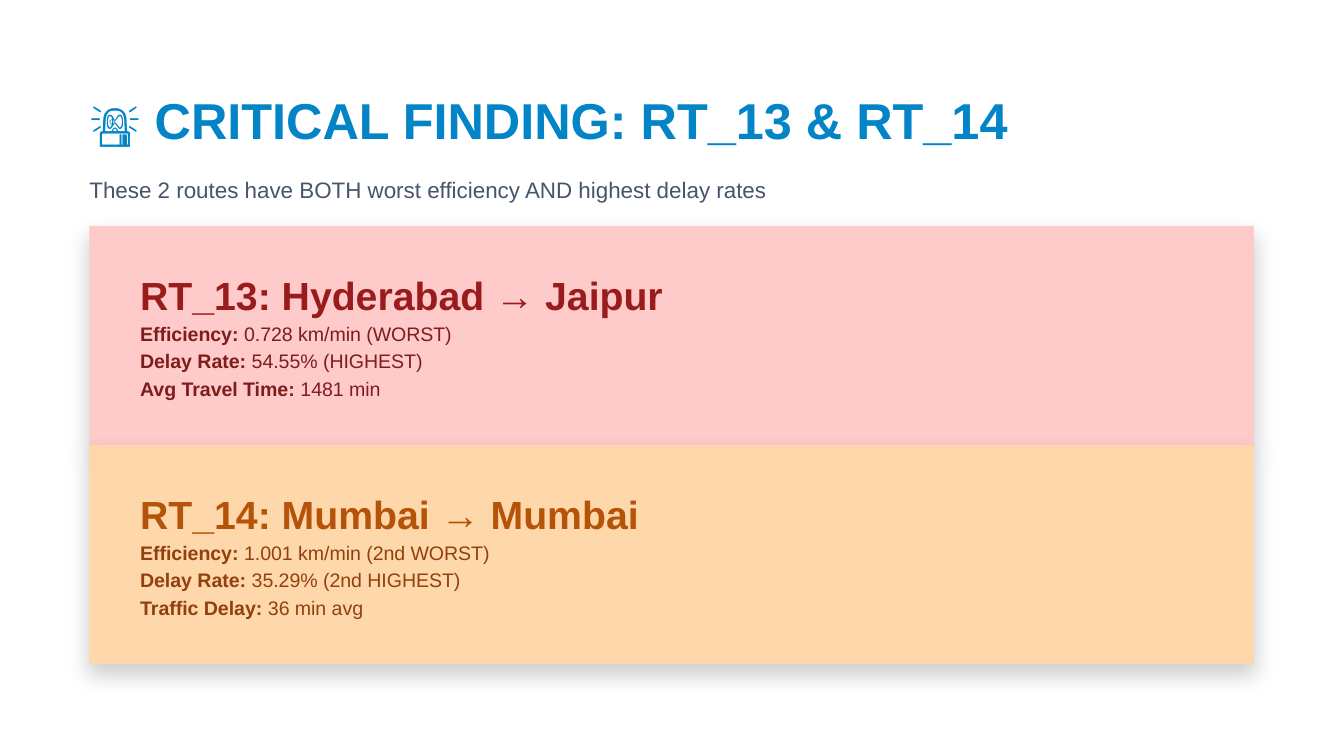
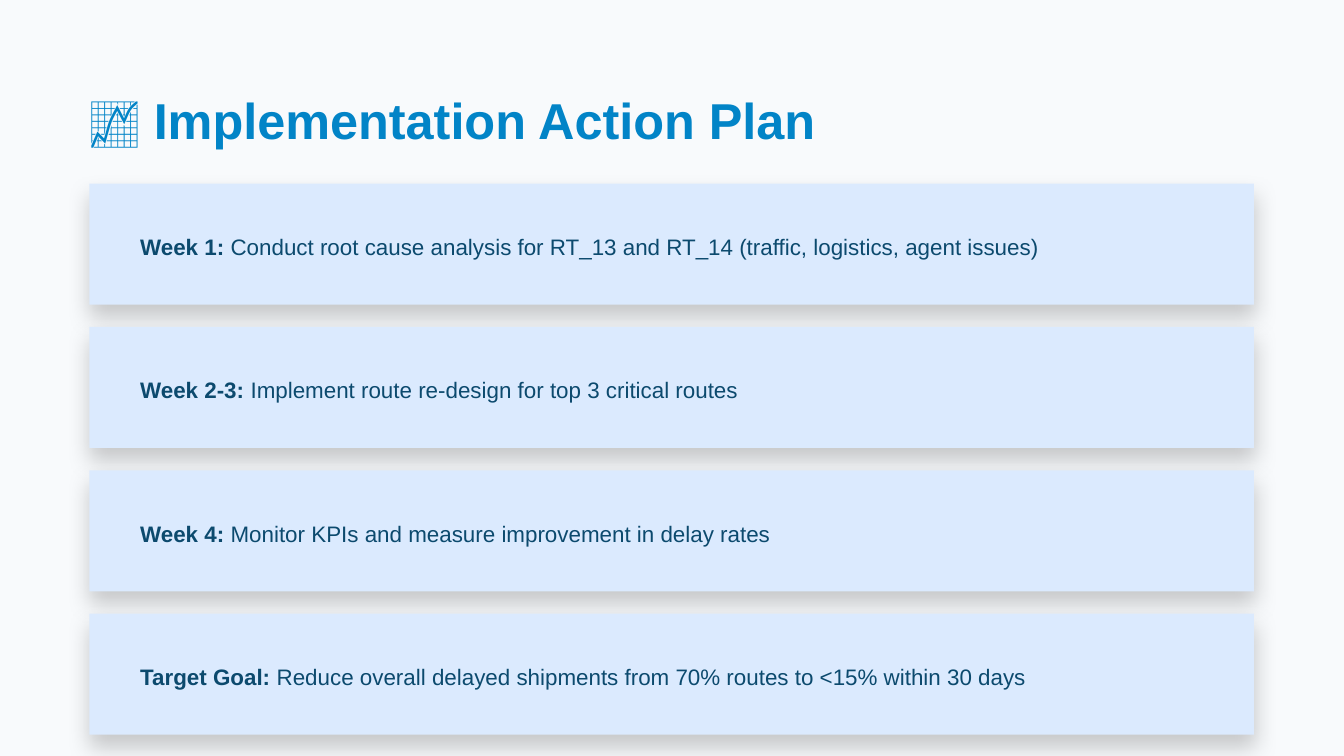
from dataclasses import dataclass

from lxml import etree
from pptx import Presentation
from pptx import util as u
from pptx.dml.color import RGBColor
from pptx.enum import shapes, text
from pptx.oxml import ns

FONT = "Arial"
WHITE = RGBColor(0xFF, 0xFF, 0xFF)
MIST = RGBColor(0xF8, 0xFA, 0xFC)
SKY = RGBColor(0x02, 0x84, 0xC7)
SLATE = RGBColor(0x47, 0x55, 0x69)
ROSE = RGBColor(0xFE, 0xCA, 0xCA)
RED = RGBColor(0x99, 0x1B, 0x1B)
DARK_RED = RGBColor(0x7F, 0x1D, 0x1D)
PEACH = RGBColor(0xFE, 0xD7, 0xAA)
AMBER = RGBColor(0xB4, 0x53, 0x09)
DARK_AMBER = RGBColor(0x92, 0x40, 0x0E)
ICE = RGBColor(0xDB, 0xEA, 0xFE)
NAVY = RGBColor(0x0C, 0x4A, 0x6E)

MARGIN = 1.69
CARD_W = 22.01
HEADER_W = 22.45
TEXT_X = 2.65
TEXT_W = 20.62
PAD_Y = 0.85


@dataclass(frozen=True)
class Style:
    size: float
    leading: float
    color: RGBColor
    bold: bool = False


@dataclass(frozen=True)
class Fact:
    label: str
    value: str


@dataclass(frozen=True)
class Route:
    name: str
    fill: RGBColor
    name_color: RGBColor
    fact_color: RGBColor
    facts: tuple[Fact, ...]


TITLE = Style(27, 32.4, SKY, True)
SUBTITLE = Style(12, 16.8, SLATE)
STEP = Style(12, 16.8, NAVY)

ROUTES = (
    Route("RT_13: Hyderabad → Jaipur", ROSE, RED, DARK_RED, (
        Fact("Efficiency:", "0.728 km/min (WORST)"),
        Fact("Delay Rate:", "54.55% (HIGHEST)"),
        Fact("Avg Travel Time:", "1481 min"),
    )),
    Route("RT_14: Mumbai → Mumbai", PEACH, AMBER, DARK_AMBER, (
        Fact("Efficiency:", "1.001 km/min (2nd WORST)"),
        Fact("Delay Rate:", "35.29% (2nd HIGHEST)"),
        Fact("Traffic Delay:", "36 min avg"),
    )),
)

STEPS = (
    Fact("Week 1:", "Conduct root cause analysis for RT_13 and RT_14 (traffic, logistics, agent issues)"),
    Fact("Week 2-3:", "Implement route re-design for top 3 critical routes"),
    Fact("Week 4:", "Monitor KPIs and measure improvement in delay rates"),
    Fact("Target Goal:", "Reduce overall delayed shipments from 70% routes to <15% within 30 days"),
)


def place(sp, x: float, y: float, w: float, h: float) -> None:
    sp.left, sp.top, sp.width, sp.height = (u.Cm(v) for v in (x, y, w, h))


def write(sp, content: str | Fact, style: Style) -> None:
    tf = sp.text_frame
    tf.margin_left = tf.margin_top = tf.margin_right = tf.margin_bottom = 0
    tf.word_wrap = True
    tf.auto_size = text.MSO_AUTO_SIZE.NONE
    tf.vertical_anchor = text.MSO_ANCHOR.TOP
    p = tf.paragraphs[0]
    p.alignment = text.PP_ALIGN.LEFT
    p.line_spacing = u.Pt(style.leading)
    p.font.name = FONT
    p.font.size = u.Pt(style.size)
    p.font.color.rgb = style.color
    p.font.bold = style.bold
    if isinstance(content, Fact):
        r = p.add_run()
        r.text = content.label
        r.font.bold = True
        p.add_run().text = f" {content.value}"
    else:
        p.add_run().text = content


def add_text(s, content: str | Fact, style: Style, x: float, y: float, w: float, h: float) -> None:
    sp = s.shapes.add_textbox(0, 0, 0, 0)
    place(sp, x, y, w, h)
    write(sp, content, style)


def add_card(s, y: float, h: float, fill: RGBColor) -> None:
    sp = s.shapes.add_shape(shapes.MSO_SHAPE.RECTANGLE, 0, 0, 0, 0)
    place(sp, MARGIN, y, CARD_W, h)
    sp.fill.solid()
    sp.fill.fore_color.rgb = fill
    sp.line.fill.background()
    sp.shadow.inherit = False
    effects = sp._element.spPr.find(ns.qn("a:effectLst"))
    shadow = etree.SubElement(effects, ns.qn("a:outerShdw"), blurRad=str(u.Pt(12)),
                              dist=str(u.Pt(6)), dir="5400000", algn="bl", rotWithShape="0")
    color = etree.SubElement(shadow, ns.qn("a:srgbClr"), val="000000")
    etree.SubElement(color, ns.qn("a:alpha"), val="20000")


def add_slide(prs, title: str, background: RGBColor):
    s = prs.slides.add_slide(prs.slide_layouts[5])
    s.background.fill.solid()
    s.background.fill.fore_color.rgb = background
    place(s.shapes.title, MARGIN, MARGIN, HEADER_W, 1.14)
    write(s.shapes.title, title, TITLE)
    return s


def build_finding(prs) -> None:
    s = add_slide(prs, "🚨 CRITICAL FINDING: RT_13 & RT_14", WHITE)
    add_text(s, "These 2 routes have BOTH worst efficiency AND highest delay rates",
             SUBTITLE, MARGIN, 3.25, HEADER_W, 0.59)
    top, height, name_h, fact_h = 4.27, 4.14, 0.89, 0.52
    tops = [top + i * height for i in range(len(ROUTES))]
    for y, route in zip(tops, ROUTES):
        add_card(s, y, height, route.fill)
    for y, route in zip(tops, ROUTES):
        name_y = y + PAD_Y
        add_text(s, route.name, Style(21, 25.2, route.name_color, True),
                 TEXT_X, name_y, TEXT_W, name_h)
        for i, fact in enumerate(route.facts):
            add_text(s, fact, Style(10.5, 14.7, route.fact_color),
                     TEXT_X, name_y + name_h + i * fact_h, TEXT_W, fact_h)


def build_plan(prs) -> None:
    s = add_slide(prs, "📈 Implementation Action Plan", MIST)
    top, height, pitch = 3.47, 2.29, 2.71
    for i, step in enumerate(STEPS):
        y = top + i * pitch
        add_card(s, y, height, ICE)
        add_text(s, step, STEP, TEXT_X, y + PAD_Y, TEXT_W, 0.59)


def main() -> None:
    prs = Presentation()
    prs.slide_width, prs.slide_height = u.Cm(25.4), u.Cm(14.29)
    build_finding(prs)
    build_plan(prs)
    prs.save("out.pptx")


if __name__ == "__main__":
    main()
